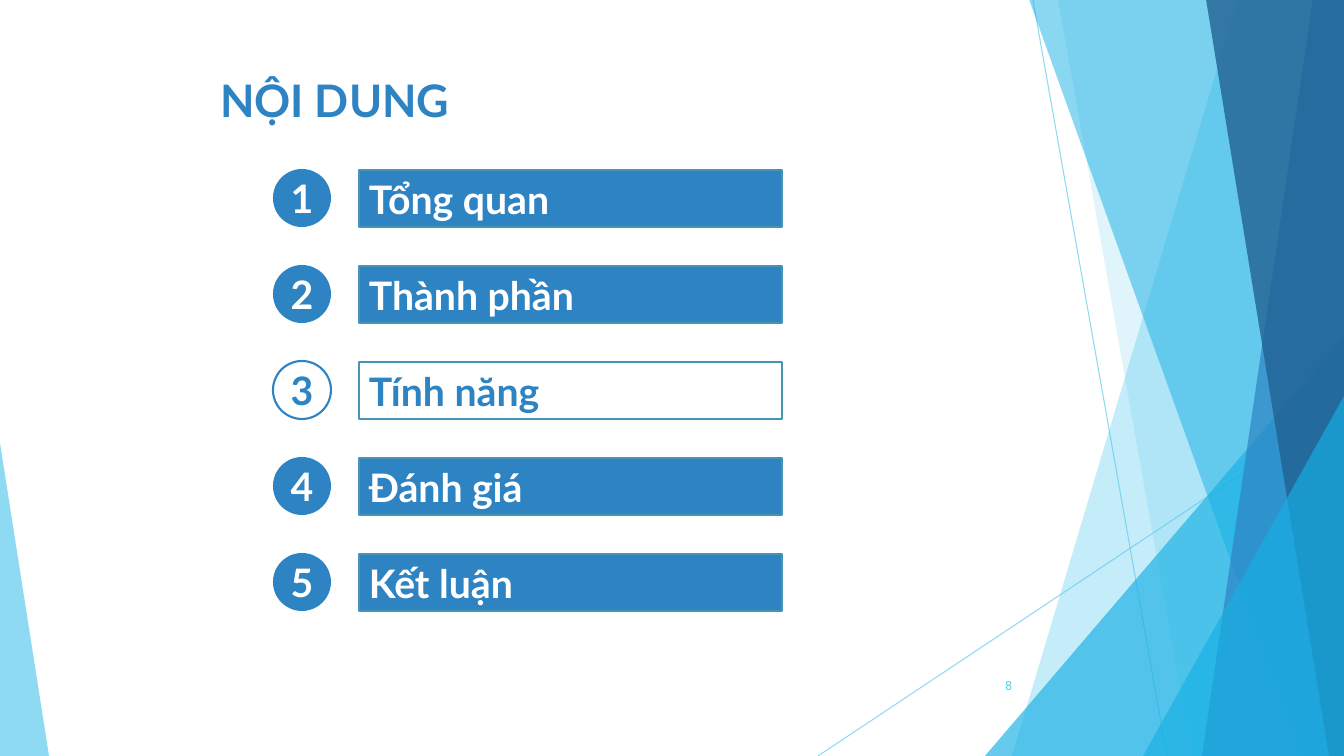
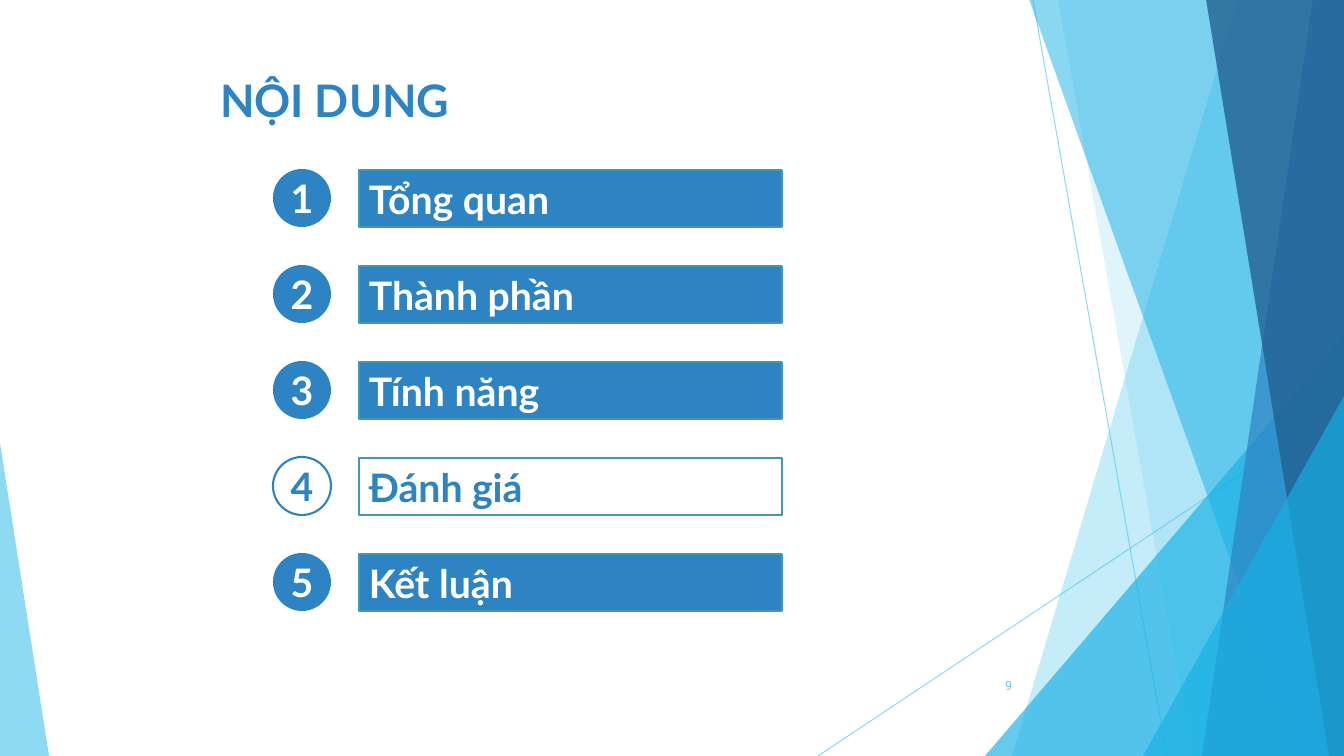
"""Builds two agenda slides that share one faceted backdrop."""
from lxml.etree import SubElement
from pptx import Presentation
from pptx.dml.color import RGBColor
from pptx.enum.shapes import MSO_CONNECTOR as CONNECTOR, MSO_SHAPE as SHAPE
from pptx.enum.text import MSO_ANCHOR as ANCHOR, MSO_AUTO_SIZE as AUTO_SIZE, PP_ALIGN as ALIGN
from pptx.oxml.ns import qn
from pptx.util import Pt

SCALE = 914400 / 100.8
WIDTH, HEIGHT = 1344, 756
WHITE = RGBColor(0xFF, 0xFF, 0xFF)
BLUE = RGBColor(0x2E, 0x83, 0xC3)
NAVY = RGBColor(0x22, 0x62, 0x92)
SKY = RGBColor(0x5F, 0xCB, 0xEF)
CYAN = RGBColor(0x17, 0xB0, 0xE4)
TEAL = RGBColor(0x46, 0x96, 0xB1)

TOPICS = ["Tổng quan", "Thành phần", "Tính năng", "Đánh giá", "Kết luận"]
AGENDAS = [(8, "Tính năng"), (9, "Đánh giá")]
ROW_TOP, ROW_PITCH = 169, 96

RAYS = [(1033, 0, 1167, HEIGHT), (WIDTH, 406, 818, HEIGHT)]
FACETS = [
    ("band", (1238, 1012), SKY, 36),
    ("band", (1058, 1192), SKY, 20),
    ("triangle", (985, 336, 359, 1), CYAN, 66),
    ("band", (1029, 1301), CYAN, 50),
    ("band", (1313, 1202), BLUE, 70),
    ("band", (1206, 1329), NAVY, 80),
    ("triangle", (1143, 396, 201, 1), CYAN, 66),
    ("triangle", (0, 443, 49, 0), SKY, 70),
]


def px(*lengths):
    return [round(length * SCALE) for length in lengths]


def write(shape, text, size, color, font="Lato", bold=True, align=ALIGN.LEFT, anchor=ANCHOR.MIDDLE):
    text_frame = shape.text_frame
    text_frame.text = text
    text_frame.vertical_anchor = anchor
    text_frame.word_wrap = True
    text_frame.auto_size = AUTO_SIZE.NONE
    paragraph = text_frame.paragraphs[0]
    paragraph.alignment = align
    run_font = paragraph.runs[0].font
    run_font.name, run_font.size, run_font.bold = font, Pt(size), bold
    run_font.color.rgb = color


presentation = Presentation()
presentation.slide_width, presentation.slide_height = px(WIDTH, HEIGHT)
layout = presentation.slide_layouts.get_by_name("Title Only")
slides = [presentation.slides.add_slide(layout) for _ in AGENDAS]

shapes = slides[0].shapes
backdrop = []
for ray in RAYS:
    connector = shapes.add_connector(CONNECTOR.STRAIGHT, *px(*ray))
    connector.line.color.rgb = SKY
    connector.line.width = Pt(0.75)
    SubElement(connector.element.spPr, qn("a:effectLst"))
    backdrop.append((connector, 70))

for kind, geometry, color, opacity in FACETS:
    if kind == "band":
        top_x, bottom_x = geometry
        builder = shapes.build_freeform(top_x, -1, scale=SCALE)
        builder.add_line_segments([(WIDTH, -1), (WIDTH, HEIGHT), (bottom_x, HEIGHT)])
        facet = builder.convert_to_shape()
    else:
        left, top, width, apex = geometry
        facet = shapes.add_shape(SHAPE.ISOSCELES_TRIANGLE, *px(left, top, width, HEIGHT - top))
        facet.adjustments[0] = apex
    facet.shadow.inherit = False
    facet.fill.solid()
    facet.fill.fore_color.rgb = color
    facet.line.fill.background()
    backdrop.append((facet, opacity))

for shape_id, (shape, opacity) in enumerate(backdrop, start=20):
    element = shape.element
    SubElement(element.xpath("./p:spPr//a:srgbClr")[0], qn("a:alpha"), val=str(opacity * 1000))
    element.xpath(".//p:cNvPr")[0].set("id", str(shape_id))
    layout.shapes.element.append(element)

for slide, (number, current) in zip(slides, AGENDAS):
    title = slide.shapes.title
    title.left, title.top, title.width, title.height = px(210, 68, 265, 65)
    write(title, "NỘI DUNG", 32, BLUE, anchor=ANCHOR.TOP)

    for row, topic in enumerate(TOPICS):
        top = ROW_TOP + row * ROW_PITCH
        is_current = topic == current
        fill, ink = (WHITE, BLUE) if is_current else (BLUE, WHITE)
        badge = slide.shapes.add_shape(SHAPE.OVAL, *px(273, top, 58, 58))
        bar = slide.shapes.add_shape(SHAPE.RECTANGLE, *px(359, top + 1, 423, 57))
        for shape, outline in ((badge, BLUE), (bar, TEAL)):
            shape.shadow.inherit = False
            shape.fill.solid()
            shape.fill.fore_color.rgb = fill
            shape.line.color.rgb = outline
            shape.line.width = Pt(1.5)
        if not is_current:
            badge.line.fill.background()
        write(badge, str(row + 1), 28, ink, align=ALIGN.CENTER)
        badge.text_frame.word_wrap = False
        write(bar, topic, 28, ink)

    page_number = slide.shapes.add_textbox(*px(946, 666, 76, 40))
    write(page_number, str(number), 9, SKY, font="Roboto", bold=False, align=ALIGN.RIGHT)

presentation.save("out.pptx")
